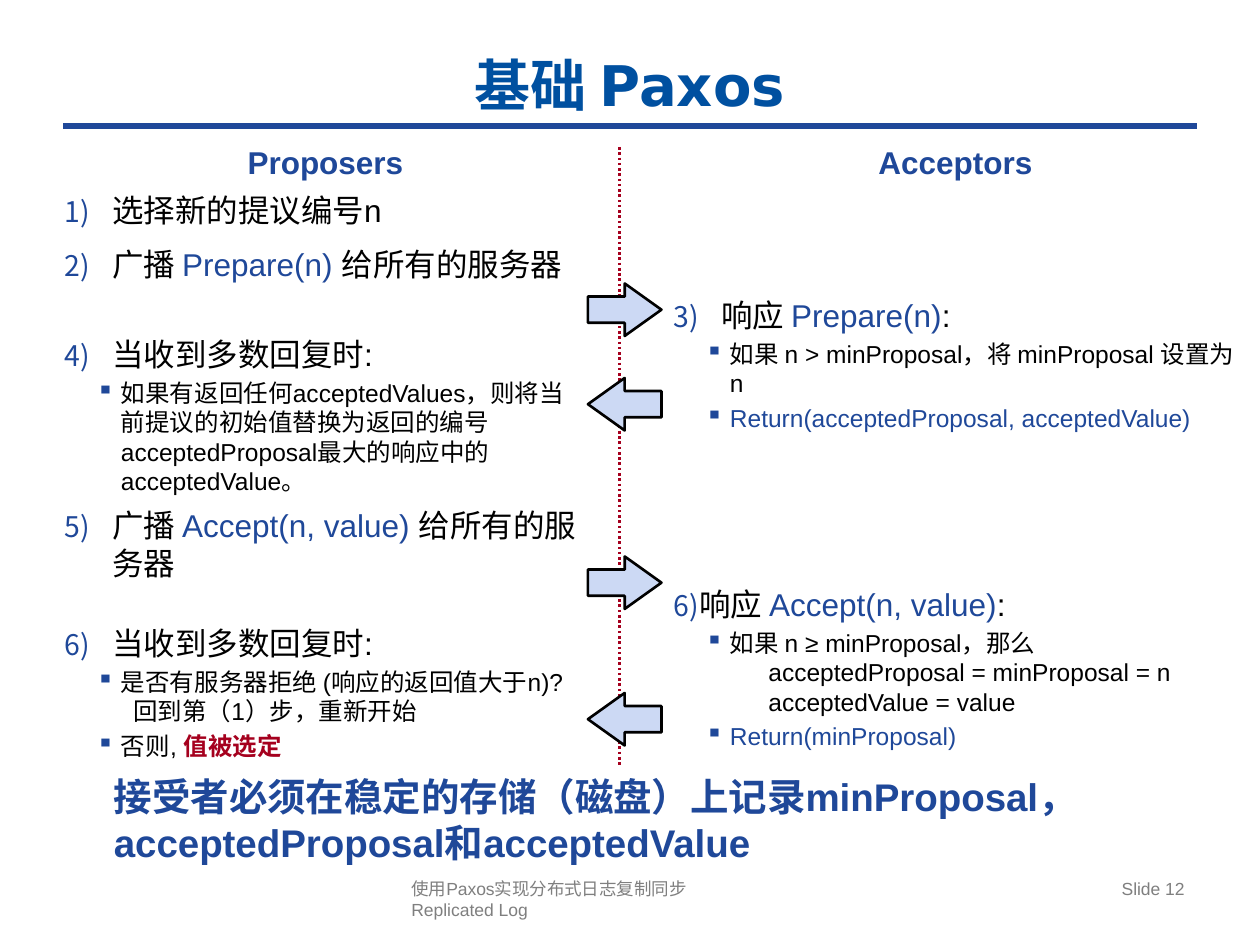
from dataclasses import dataclass
from typing import Optional

from lxml import etree
from pptx import Presentation
from pptx.dml.color import RGBColor
from pptx.enum import dml, shapes, text
from pptx.oxml import ns
from pptx.util import Pt

BLUE, RED, BLACK, GREY = "1F4899", "A5001E", "000000", "7F7F7F"
CENTER, RIGHT = text.PP_ALIGN.CENTER, text.PP_ALIGN.RIGHT


@dataclass
class Span:
    text: str
    color: str = BLACK
    bold: bool = False


@dataclass
class Para:
    spans: list[Span]
    size: float = 18
    before: float = 0
    align: Optional[text.PP_ALIGN] = None
    level: int = 0
    number: Optional[int] = None
    indent: float = 0
    hanging: float = 0
    tab: Optional[float] = None
    font: str = "Arial"


@dataclass
class Arrow:
    top: float
    to_acceptors: bool


def rgb(color: str) -> RGBColor:
    return RGBColor.from_string(color)


def heading(label: str) -> Para:
    return Para([Span(label, BLUE, True)], align=CENTER)


def step(number: int, before: float, *spans: Span, indent: float = 27) -> Para:
    return Para(list(spans), before=before, number=number, indent=indent, hanging=indent)


def detail(*spans: Span, tab: Optional[float] = None) -> Para:
    return Para(list(spans), size=14, before=3, level=1, indent=32, hanging=14, tab=tab)


def add_child(parent, tag: str, **attributes):
    child = etree.SubElement(parent, ns.qn(tag))
    for name, value in attributes.items():
        child.set(name, str(value))
    return child


def format_list(paragraph, para: Para) -> None:
    """Set the indents, the bullet or number, and the tab stop."""
    props = paragraph._p.get_or_add_pPr()
    props.set("marL", str(Pt(para.indent)))
    props.set("indent", str(Pt(-para.hanging)))
    add_child(add_child(props, "a:buClr"), "a:srgbClr", val=BLUE)
    if para.number:
        add_child(props, "a:buSzPct", val=90000)
        add_child(props, "a:buAutoNum", type="arabicParenR", startAt=para.number)
    else:
        add_child(props, "a:buChar", char="▪")
    if para.tab:
        add_child(add_child(props, "a:tabLst"), "a:tab", pos=Pt(para.tab), algn="l")


def write(frame, paras: list[Para], anchor=text.MSO_ANCHOR.TOP) -> None:
    frame.word_wrap = True
    frame.vertical_anchor = anchor
    for index, para in enumerate(paras):
        paragraph = frame.paragraphs[0] if index == 0 else frame.add_paragraph()
        paragraph.alignment = para.align or text.PP_ALIGN.LEFT
        paragraph.level = para.level
        paragraph.space_before = Pt(para.before)
        if para.indent:
            format_list(paragraph, para)
        for span in para.spans:
            for row, line in enumerate(span.text.split("\n")):
                if row:
                    paragraph.add_line_break()
                run = paragraph.add_run()
                run.text = line
                run.font.name = para.font
                run.font.size = Pt(para.size)
                run.font.bold = span.bold
                run.font.color.rgb = rgb(span.color)


def add_text(page, left: float, top: float, width: float, height: float,
             paras: list[Para], **options) -> None:
    box = page.shapes.add_textbox(Pt(left), Pt(top), Pt(width), Pt(height))
    write(box.text_frame, paras, **options)


def add_line(page, x1: float, y1: float, x2: float, y2: float,
             color: str, width: float, dash=None) -> None:
    line = page.shapes.add_connector(
        shapes.MSO_CONNECTOR.STRAIGHT, Pt(x1), Pt(y1), Pt(x2), Pt(y2))
    line.line.color.rgb = rgb(color)
    line.line.width = Pt(width)
    if dash:
        line.line.dash_style = dash
    add_child(line._element.spPr, "a:effectLst")


def add_filled(page, kind, left: float, top: float, width: float, height: float, fill: str):
    shape = page.shapes.add_shape(kind, Pt(left), Pt(top), Pt(width), Pt(height))
    shape.shadow.inherit = False
    shape.fill.solid()
    shape.fill.fore_color.rgb = rgb(fill)
    shape.line.fill.background()
    return shape


def add_arrow(page, arrow: Arrow) -> None:
    kinds = shapes.MSO_SHAPE
    kind = kinds.RIGHT_ARROW if arrow.to_acceptors else kinds.LEFT_ARROW
    shape = add_filled(page, kind, 336, arrow.top, 42, 30, "CCD9F4")
    shape.adjustments[0] = 0.5
    shape.adjustments[1] = 0.7
    shape.line.color.rgb = rgb(BLACK)
    shape.line.width = Pt(1.5)


PROPOSERS = [
    heading("Proposers"),
    step(1, 6, Span("选择新的提议编号n")),
    step(1, 9, Span("广播 "), Span("Prepare(n) ", BLUE), Span("给所有的服务器")),
    step(4, 30, Span("当收到多数回复时:")),
    detail(Span("如果有返回任何acceptedValues，则将当前提议的初始值替换为返回的编号"
                "acceptedProposal最大的响应中的acceptedValue。")),
    step(5, 6, Span("广播 "), Span("Accept(n, value) ", BLUE), Span("给所有的服务器")),
    step(5, 24, Span("当收到多数回复时:")),
    detail(Span("是否有服务器拒绝 (响应的返回值大于n)?\n\t回到第（1）步，重新开始"), tab=39),
    detail(Span("否则, "), Span("值被选定", RED, True)),
]
ACCEPTORS = [
    heading("Acceptors"),
    step(3, 66, Span("响应 "), Span("Prepare(n)", BLUE), Span(":")),
    detail(Span("如果 n > minProposal，将 minProposal 设置为 n")),
    detail(Span("Return(acceptedProposal, acceptedValue)", BLUE)),
    step(6, 87, Span("响应 "), Span("Accept(n, value)", BLUE), Span(":"), indent=14),
    detail(Span("如果 n ≥ minProposal，那么\n\tacceptedProposal = minProposal = n"
                "\n\tacceptedValue = value"), tab=54),
    detail(Span("Return(minProposal)", BLUE)),
]
ARROWS = [Arrow(162, True), Arrow(216, False), Arrow(318, True), Arrow(396, False)]


def main() -> None:
    deck = Presentation()
    deck.slide_width, deck.slide_height = Pt(720), Pt(540)
    page = deck.slides.add_slide(deck.slide_layouts[6])

    add_line(page, 36, 72, 684, 72, BLUE, 4)
    add_line(page, 354, 84, 354, 462, RED, 1.5, dml.MSO_LINE.ROUND_DOT)
    title = Para([Span("基础 Paxos", "0050A0", True)], size=32, align=CENTER, font="DejaVu Sans")
    add_text(page, 36, 24, 648, 48, [title], anchor=text.MSO_ANCHOR.MIDDLE)
    add_text(page, 378, 78, 336, 432, ACCEPTORS)
    footer = Span("使用Paxos实现分布式日志复制同步\nReplicated Log", GREY)
    add_text(page, 228, 498, 270, 31, [Para([footer], size=10)])
    for arrow in ARROWS:
        add_arrow(page, arrow)

    summary = add_filled(page, shapes.MSO_SHAPE.RECTANGLE, 58, 438, 642, 60, "FFFFFF")
    rule = Span("接受者必须在稳定的存储（磁盘）上记录minProposal，"
                "acceptedProposal和acceptedValue", BLUE, True)
    write(summary.text_frame, [Para([rule], size=22)])
    add_text(page, 30, 78, 312, 444, PROPOSERS)
    add_text(page, 516, 498, 168, 31, [Para([Span("Slide 12", GREY)], size=10, align=RIGHT)])
    deck.save("out.pptx")


if __name__ == "__main__":
    main()
